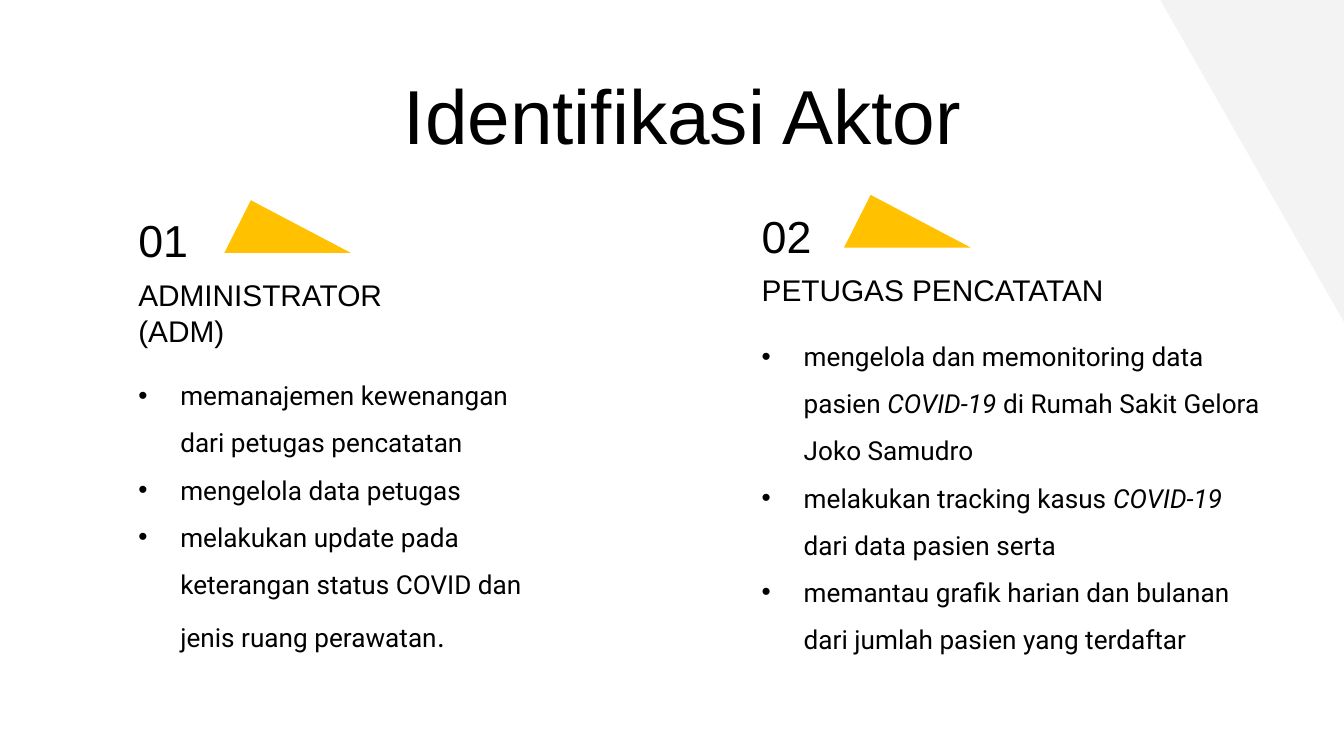
"""Build the slide that identifies the two actors of the system."""
from lxml import etree
from pptx import Presentation
from pptx.dml.color import RGBColor
from pptx.enum.shapes import MSO_SHAPE
from pptx.enum.text import MSO_ANCHOR, PP_ALIGN
from pptx.oxml.ns import qn
from pptx.util import Pt

RIGHT_TRIANGLE = MSO_SHAPE.RIGHT_TRIANGLE
TRIANGLE = MSO_SHAPE.ISOSCELES_TRIANGLE
TOP, MIDDLE = MSO_ANCHOR.TOP, MSO_ANCHOR.MIDDLE
LEFT, CENTER = PP_ALIGN.LEFT, PP_ALIGN.CENTER
BLACK = RGBColor(0x00, 0x00, 0x00)
GRAY = RGBColor(0xF3, 0xF3, 0xF3)
YELLOW = RGBColor(0xFF, 0xC1, 0x00)
INSET = 7.2
INDENT = 22.5
ITALIC = {"italic": True}

ACTORS = [
    {
        "number": "01", "number_top": 114.3, "left": 67,
        "triangle": (120.2, 107.3),
        "name": "ADMINISTRATOR (ADM)", "name_box": (141.1, 170),
        "task_box": (187.9, 230.4, 192.2),
        "tasks": [
            [("memanajemen kewenangan dari petugas pencatatan", {})],
            [("mengelola data petugas", {})],
            [("melakukan update pada keterangan status COVID dan "
              "jenis ruang perawatan", {}), (".", {"size": Pt(16)})],
        ],
    },
    {
        "number": "02", "number_top": 112.1, "left": 401,
        "triangle": (452.2, 104.4),
        "name": "PETUGAS PENCATATAN", "name_box": (138.2, 204.5),
        "task_box": (167, 283.7, 213.1),
        "tasks": [
            [("mengelola dan memonitoring data pasien ", {}),
             ("COVID-19 ", ITALIC),
             ("di Rumah Sakit Gelora Joko Samudro", {})],
            [("melakukan tracking kasus ", {}), ("COVID-19 ", ITALIC),
             ("dari data pasien serta", {})],
            [("memantau grafik harian dan bulanan dari jumlah "
              "pasien yang terdaftar", {})],
        ],
    },
]


def fill_text(shape, paragraphs, font_name, size, anchor=TOP, align=LEFT, bullets=False):
    frame = shape.text_frame
    frame.word_wrap = True
    frame.vertical_anchor = anchor
    frame.margin_left = frame.margin_right = Pt(INSET)
    frame.margin_top = frame.margin_bottom = Pt(INSET)
    for index, runs in enumerate(paragraphs):
        paragraph = frame.add_paragraph() if index else frame.paragraphs[0]
        paragraph.alignment = align
        if bullets:
            paragraph.line_spacing = 1.5
            properties = paragraph._p.get_or_add_pPr()
            properties.set("marL", str(Pt(INDENT)))
            properties.set("indent", str(-Pt(INDENT)))
            etree.SubElement(properties, qn("a:buFont"), typeface="Arial")
            etree.SubElement(properties, qn("a:buChar"), char="•")
        paragraph.font.name = font_name
        paragraph.font.size = Pt(size)
        paragraph.font.color.rgb = BLACK
        for text, changes in runs:
            run = paragraph.add_run()
            run.text = text
            for attribute, value in changes.items():
                setattr(run.font, attribute, value)


def add_filled_shape(kind, left, top, width, height, color):
    shape = slide.shapes.add_shape(kind, Pt(left), Pt(top), Pt(width), Pt(height))
    shape.shadow.inherit = False
    shape.fill.solid()
    shape.fill.fore_color.rgb = color
    shape.line.fill.background()
    return shape


presentation = Presentation()
presentation.slide_width = Pt(720)
presentation.slide_height = Pt(405)
slide = presentation.slides.add_slide(presentation.slide_layouts[5])

corner = add_filled_shape(RIGHT_TRIANGLE, 621.6, 0, 98.4, 172.5, GRAY)
corner.rotation = 180

title = slide.shapes.title
title.left, title.top, title.width, title.height = Pt(46.8), Pt(25.2), Pt(638), Pt(45.4)
fill_text(title, [[("Identifikasi Aktor", {})]], "Arial", 41, align=CENTER)
title.text_frame.margin_top = Pt(11)

for actor in ACTORS:
    triangle = add_filled_shape(TRIANGLE, *actor["triangle"], 67.8, 28.2, YELLOW)
    triangle.adjustments[0] = 0.21

    left = Pt(actor["left"])
    number = slide.shapes.add_textbox(left, Pt(actor["number_top"]), Pt(85), Pt(28))
    fill_text(number, [[(actor["number"], {})]], "Arial", 24, anchor=MIDDLE)

    top, width = actor["name_box"]
    name = slide.shapes.add_textbox(left, Pt(top), Pt(width), Pt(28))
    fill_text(name, [[(actor["name"], {})]], "Arial", 16)

    top, width, height = actor["task_box"]
    tasks = slide.shapes.add_textbox(left, Pt(top), Pt(width), Pt(height))
    fill_text(tasks, actor["tasks"], "Roboto", 14, bullets=True)

presentation.save("out.pptx")
